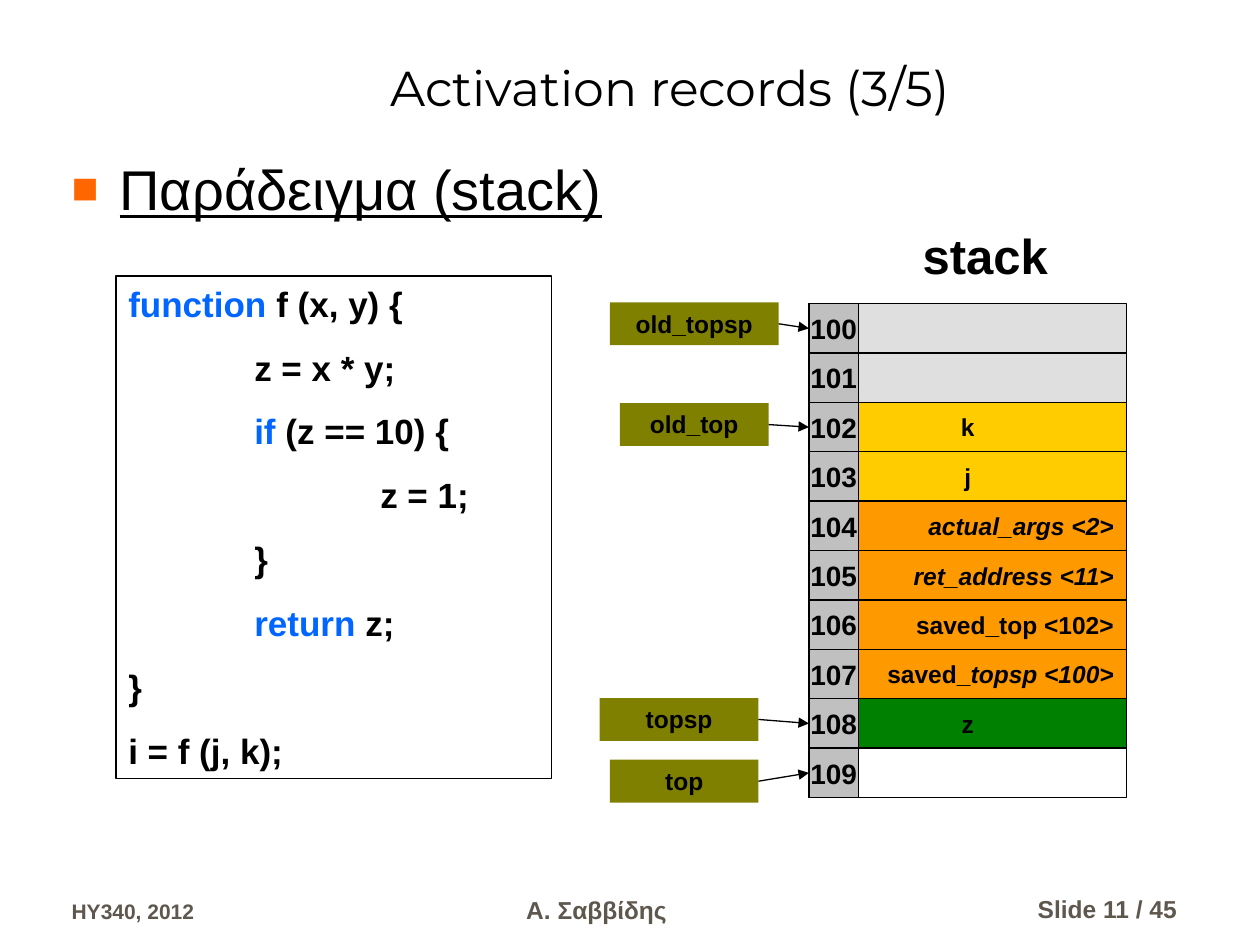
from dataclasses import dataclass

from lxml import etree
from pptx import Presentation
from pptx.dml.color import RGBColor
from pptx.enum.shapes import MSO_CONNECTOR, MSO_SHAPE
from pptx.enum.text import MSO_ANCHOR as ANCHOR, MSO_AUTO_SIZE, PP_ALIGN as ALIGN
from pptx.oxml.ns import qn
from pptx.util import Inches, Pt


@dataclass(frozen=True)
class Theme:
    font: str = "Arial"
    title_font: str = "Montserrat"
    ink: str = "000000"
    paper: str = "FFFFFF"
    keyword: str = "0066FF"
    bullet: str = "FF6600"
    grey: str = "C0C0C0"
    args: str = "FFCC00"
    saved: str = "FF9900"
    local: str = "008000"
    pointer: str = "808000"
    footer: str = "5E574E"
    title_size: int = 28
    topic_size: int = 32
    code_size: int = 20
    code_gap: float = 12.5
    address_size: int = 16
    label_size: int = 14
    small_size: int = 12
    line: float = 0.75


T = Theme()

# Each line is a list of (text, is keyword)
CODE = [
    [("function", True), (" f (x, y) {", False)],
    [("\tz = x * y;", False)],
    [("\t", False), ("if", True), (" (z == 10) {", False)],
    [("\t\tz = 1;", False)],
    [("\t}", False)],
    [("\t", False), ("return", True), (" z;", False)],
    [("}", False)],
    [("i = f (j, k);", False)],
]

# Fill, alignment and (text, is italic) runs, from address 100 down
FIRST_ADDRESS = 100
CELLS = [
    (T.grey, ALIGN.CENTER, []),
    (T.grey, ALIGN.CENTER, []),
    (T.args, ALIGN.CENTER, [("k", False)]),
    (T.args, ALIGN.CENTER, [("j", False)]),
    (T.saved, ALIGN.RIGHT, [("actual_args <2>", True)]),
    (T.saved, ALIGN.RIGHT, [("ret_address <11>", True)]),
    (T.saved, ALIGN.RIGHT, [("saved_top <102>", False)]),
    (T.saved, ALIGN.RIGHT, [("saved_", False), ("topsp <100>", True)]),
    (T.local, ALIGN.CENTER, [("z", False)]),
    (T.paper, ALIGN.CENTER, []),
]

# Name, address pointed at, left, top, width
POINTERS = [
    ("old_topsp", 100, 4.84, 2.4, 1.34),
    ("old_top", 102, 4.92, 3.2, 1.18),
    ("topsp", 108, 4.76, 5.54, 1.26),
    ("top", 109, 4.84, 6.03, 1.18),
]


def rgb(value):
    return RGBColor.from_string(value)


def add_run(p, text, size, color=T.ink, bold=True, italic=False, font=T.font):
    r = p.add_run()
    r.text = text
    r.font.name, r.font.size = font, Pt(size)
    r.font.bold, r.font.italic = bold, italic
    r.font.color.rgb = rgb(color)
    return r


def setup_frame(sp, anchor=ANCHOR.TOP, wrap=True):
    tf = sp.text_frame
    tf.auto_size = MSO_AUTO_SIZE.NONE
    tf.word_wrap, tf.vertical_anchor = wrap, anchor
    tf.margin_left = tf.margin_right = Inches(0.1)
    tf.margin_top = tf.margin_bottom = Inches(0.05)
    return tf


def add_text(s, box, anchor=ANCHOR.TOP, align=ALIGN.LEFT):
    tf = setup_frame(s.shapes.add_textbox(*map(Inches, box)), anchor)
    tf.paragraphs[0].alignment = align
    return tf.paragraphs[0]


def add_rect(s, box, fill, outlined=True):
    sp = s.shapes.add_shape(MSO_SHAPE.RECTANGLE, *map(Inches, box))
    sp.shadow.inherit = False
    sp.fill.solid()
    sp.fill.fore_color.rgb = rgb(fill)
    if outlined:
        sp.line.color.rgb, sp.line.width = rgb(T.ink), Pt(T.line)
    else:
        sp.line.fill.background()
    return sp


def add_arrow(s, start, end):
    """Joins the right side of start to the left side of end."""
    line = s.shapes.add_connector(MSO_CONNECTOR.STRAIGHT, 0, 0, 0, 0)
    line.begin_connect(start, 3)
    line.end_connect(end, 1)
    line.line.color.rgb, line.line.width = rgb(T.ink), Pt(T.line)
    sp_pr = line._element.spPr
    etree.SubElement(sp_pr.find(qn("a:ln")), qn("a:tailEnd"), type="triangle")
    etree.SubElement(sp_pr, qn("a:effectLst"))


def add_title(s, box):
    title = s.shapes.title
    title.left, title.top, title.width, title.height = map(Inches, box)
    p = setup_frame(title, ANCHOR.BOTTOM).paragraphs[0]
    p.alignment = ALIGN.CENTER
    add_run(p, "Activation records (3/5)", T.title_size, bold=False, font=T.title_font)


def add_topic(s, box):
    p = add_text(s, box)
    p_pr = p._p.get_or_add_pPr()
    indent = Inches(0.38)
    p_pr.set("marL", str(indent))
    p_pr.set("indent", str(-indent))
    color = etree.SubElement(p_pr, qn("a:buClr"))
    etree.SubElement(color, qn("a:srgbClr"), val=T.bullet)
    etree.SubElement(p_pr, qn("a:buSzPct"), val="80000")
    etree.SubElement(p_pr, qn("a:buFont"), typeface=T.font)
    etree.SubElement(p_pr, qn("a:buChar"), char="■")
    add_run(p, "Παράδειγμα (stack)", T.topic_size, bold=False).font.underline = True


def add_code(s, box):
    tf = setup_frame(add_rect(s, box, T.paper))
    for i, line in enumerate(CODE):
        p = tf.add_paragraph() if i else tf.paragraphs[0]
        p.alignment = ALIGN.LEFT
        if i:
            p.space_before = Pt(T.code_gap)
        tabs = etree.SubElement(p._p.get_or_add_pPr(), qn("a:tabLst"))
        for stop in (1, 2):
            etree.SubElement(tabs, qn("a:tab"), pos=str(Inches(stop)), algn="l")
        for text, is_keyword in line:
            add_run(p, text, T.code_size, T.keyword if is_keyword else T.ink)


def add_stack(s, box):
    """Draws the memory cells and returns the address cells by number."""
    left, top, width, height = box
    add_run(add_text(s, (6.93, 1.74, 1.78, 0.57), align=ALIGN.CENTER), "stack", T.title_size)
    row = height / len(CELLS)
    addresses = {}
    for i, (fill, align, runs) in enumerate(CELLS):
        y = top + i * row
        cell = add_rect(s, (left, y, width, row), fill)
        if fill == T.grey:  # cells of the caller are half transparent
            color = cell.fill._xPr.find(qn("a:solidFill"))[0]
            etree.SubElement(color, qn("a:alpha"), val="50000")
        p = setup_frame(cell, ANCHOR.MIDDLE, wrap=False).paragraphs[0]
        p.alignment = align
        for text, italic in runs:
            add_run(p, text, T.label_size, italic=italic)
        # Address at the left end of the cell
        number = FIRST_ADDRESS + i
        addresses[number] = add_rect(s, (left, y, row, row), T.grey)
        p = setup_frame(addresses[number], ANCHOR.MIDDLE, wrap=False).paragraphs[0]
        p.alignment = ALIGN.CENTER
        add_run(p, str(number), T.address_size)
    return addresses


def add_pointers(s, addresses):
    for name, number, left, top, width in POINTERS:
        sp = add_rect(s, (left, top, width, 0.34), T.pointer, outlined=False)
        p = setup_frame(sp).paragraphs[0]
        p.alignment = ALIGN.CENTER
        add_run(p, name, T.label_size)
        add_arrow(s, sp, addresses[number])


def add_footer(s):
    for text, size, align, box in (
        ("HY340, 2012", T.small_size, ALIGN.LEFT, (0.47, 6.88, 2.19, 0.5)),
        ("Α. Σαββίδης", T.label_size, ALIGN.CENTER, (3.15, 6.89, 3.17, 0.5)),
        ("Slide 11 / 45", T.label_size, ALIGN.RIGHT, (7.36, 6.88, 2.08, 0.5)),
    ):
        add_run(add_text(s, box, ANCHOR.BOTTOM, align), text, size, T.footer)


def main():
    prs = Presentation()
    prs.slide_width, prs.slide_height = Inches(10), Inches(7.5)
    s = prs.slides.add_slide(prs.slide_layouts[5])
    add_title(s, (1.08, 0.14, 8.47, 0.83))
    add_topic(s, (0.47, 1.18, 9.11, 5.57))
    addresses = add_stack(s, (6.42, 2.41, 2.52, 3.92))
    add_pointers(s, addresses)
    add_code(s, (0.92, 2.19, 3.46, 3.99))
    add_footer(s)
    prs.save("out.pptx")


if __name__ == "__main__":
    main()
